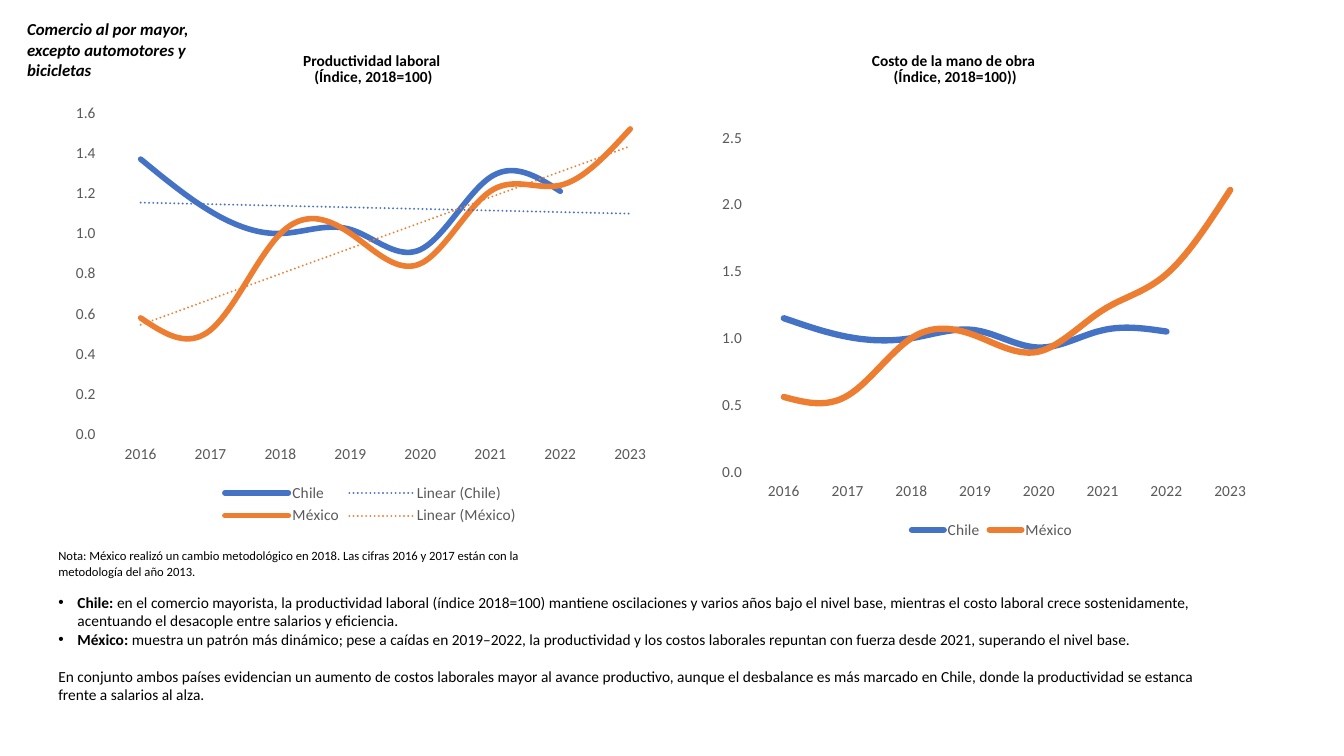
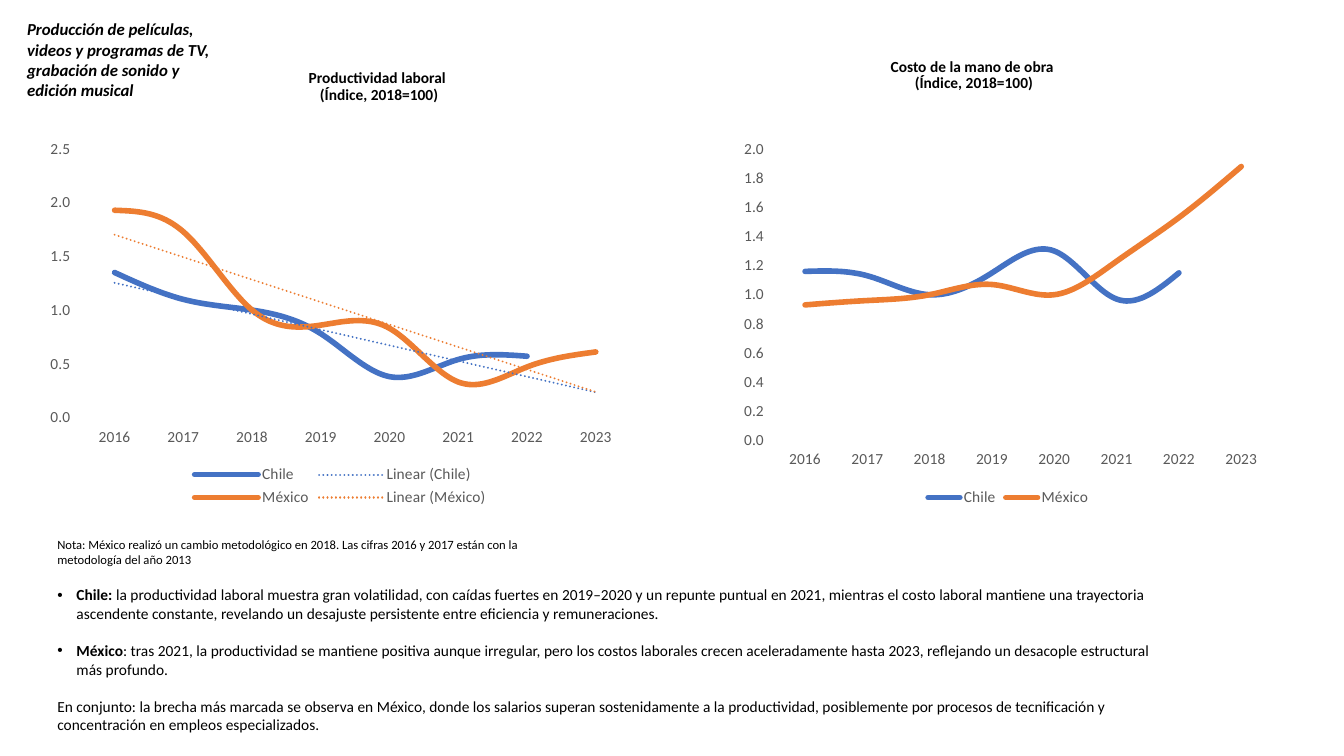
from pptx import Presentation
from pptx.chart.data import CategoryChartData
from pptx.dml.color import RGBColor
from pptx.enum.chart import XL_CHART_TYPE as ChartType
from pptx.enum.chart import XL_LEGEND_POSITION as LegendPos
from pptx.enum.chart import XL_MARKER_STYLE as Marker
from pptx.enum.chart import XL_TICK_LABEL_POSITION as LabelPos
from pptx.enum.chart import XL_TICK_MARK as TickMark
from pptx.enum.text import MSO_ANCHOR as Anchor
from pptx.enum.text import MSO_AUTO_SIZE as AutoSize
from pptx.enum.text import PP_ALIGN as Align
from pptx.oxml import parse_xml
from pptx.oxml.ns import nsdecls, qn
from pptx.util import Inches, Pt

# Shared style
FONT = "Calibri"
BLACK, GREY = "000000", "595959"
COUNTRIES = {"Chile": "4472C4", "México": "ED7D31"}
YEARS = [str(year) for year in range(2016, 2024)]
BLANK_LINE = 13.4
HEADING = {"size": Pt(12), "bold": True, "italic": True}
CHART_TITLE = {"size": Pt(11), "bold": True}
BODY = {"size": Pt(11)}
NOTE = {"size": Pt(9)}
AXIS = {
    "has_major_gridlines": False,
    "major_tick_mark": TickMark.NONE,
    "minor_tick_mark": TickMark.NONE,
    "tick_label_position": LabelPos.LOW,
}

NOTE_TEXT = ("Nota: México realizó un cambio metodológico en 2018. Las cifras 2016 y 2017 "
             "están con la metodología del año 2013")

# Content: boxes are left, top, width, height in inches
SECTORS = [
    {
        "heading": ("Comercio al por mayor, excepto automotores y bicicletas", 0.71),
        "titles": [
            ((1.74, 0.53, 3.93, 0.32), ["Productividad laboral ", "(Índice, 2018=100)"]),
            ((7.51, 0.53, 3.93, 0.32), ["Costo de la mano de obra ", "(Índice, 2018=100))"]),
        ],
        "charts": [
            {"box": (0.63, 0.94, 6.09, 4.31), "top": 1.6, "step": 0.2, "weight": 4,
             "trend": True,
             "values": [[1.37, 1.11, 1, 1.02, 0.92, 1.28, 1.21, None],
                        [0.58, 0.52, 1, 1, 0.85, 1.21, 1.24, 1.52]]},
            {"box": (7.05, 1.19, 5.58, 4.2), "top": 2.5, "step": 0.5, "weight": 4.5,
             "trend": False,
             "values": [[1.15, 1.01, 1, 1.06, 0.93, 1.06, 1.05, None],
                        [0.56, 0.57, 1, 1.02, 0.9, 1.21, 1.48, 2.11]]},
        ],
        "note": ((0.48, 5.39, 5.16, 0.4), NOTE_TEXT + "."),
        "findings_box": (0.48, 5.83, 11.83, 1.21),
        "bullet_gap": 0,
        "findings": [
            ("Chile: ", "en el comercio mayorista, la productividad laboral (índice 2018=100) "
             "mantiene oscilaciones y varios años bajo el nivel base, mientras el costo laboral "
             "crece sostenidamente, acentuando el desacople entre salarios y eficiencia."),
            ("México:", " muestra un patrón más dinámico; pese a caídas en 2019–2022, la "
             "productividad y los costos laborales repuntan con fuerza desde 2021, superando "
             "el nivel base."),
        ],
        "conclusion": "En conjunto ambos países evidencian un aumento de costos laborales mayor "
                      "al avance productivo, aunque el desbalance es más marcado en Chile, donde "
                      "la productividad se estanca frente a salarios al alza.",
    },
    {
        "heading": ("Producción de películas, videos y programas de TV, grabación de sonido "
                    "y edición musical", 0.91),
        "titles": [
            ((2.25, 0.7, 3.02, 0.32), ["Productividad laboral ", "(Índice, 2018=100)"]),
            ((8.17, 0.59, 2.98, 0.32), ["Costo de la mano de obra ", "(Índice, 2018=100)"]),
        ],
        "charts": [
            {"box": (0.38, 1.31, 5.99, 3.76), "top": 2.5, "step": 0.5, "weight": 4,
             "trend": True,
             "values": [[1.35, 1.1, 1, 0.78, 0.38, 0.54, 0.57, None],
                        [1.93, 1.73, 1, 0.86, 0.83, 0.33, 0.47, 0.61]]},
            {"box": (7.27, 1.31, 5.46, 3.76), "top": 2, "step": 0.2, "weight": 4,
             "trend": False,
             "values": [[1.16, 1.13, 1, 1.15, 1.3, 0.97, 1.15, None],
                        [0.93, 0.96, 1, 1.07, 1, 1.23, 1.53, 1.88]]},
        ],
        "note": ((0.47, 5.28, 5.16, 0.4), NOTE_TEXT),
        "findings_box": (0.47, 5.76, 11.07, 1.58),
        "bullet_gap": BLANK_LINE,
        "findings": [
            ("Chile:", " la productividad laboral muestra gran volatilidad, con caídas fuertes "
             "en 2019–2020 y un repunte puntual en 2021, mientras el costo laboral mantiene una "
             "trayectoria ascendente constante, revelando un desajuste persistente entre "
             "eficiencia y remuneraciones."),
            ("México", ": tras 2021, la productividad se mantiene positiva aunque irregular, "
             "pero los costos laborales crecen aceleradamente hasta 2023, reflejando un "
             "desacople estructural más profundo."),
        ],
        "conclusion": "En conjunto: la brecha más marcada se observa en México, donde los "
                      "salarios superan sostenidamente a la productividad, posiblemente por "
                      "procesos de tecnificación y concentración en empleos especializados.",
    },
]


def rgb(value):
    return RGBColor.from_string(value)


def apply(target, values):
    for name, value in values.items():
        setattr(target, name, value)


def style_font(font, color, values):
    apply(font, {"name": FONT, **values})
    font.color.rgb = rgb(color)


# Text
def add_frame(slide, box, **settings):
    frame = slide.shapes.add_textbox(*map(Inches, box)).text_frame
    apply(frame, {"word_wrap": True, **settings})
    return frame


def add_paragraph(frame, parts, style, **settings):
    """Add (text, bold) parts as one paragraph, reusing an empty first one."""
    first = frame.paragraphs[0]
    paragraph = frame.add_paragraph() if first.runs else first
    apply(paragraph, settings)
    for text, bold in parts:
        run = paragraph.add_run()
        run.text = text
        style_font(run.font, BLACK, {**style, "bold": bold})
    return paragraph


def add_label(slide, box, text, style):
    frame = add_frame(slide, box, auto_size=AutoSize.SHAPE_TO_FIT_TEXT)
    add_paragraph(frame, [(text, style.get("bold", False))], style)


def add_chart_title(slide, box, lines):
    frame = add_frame(slide, box, vertical_anchor=Anchor.MIDDLE)
    for line in lines:
        add_paragraph(frame, [(line, True)], CHART_TITLE,
                      alignment=Align.CENTER, line_spacing=0.9)


def add_bullet(paragraph):
    props = paragraph._p.get_or_add_pPr()
    indent = Inches(0.19)
    props.set("marL", str(indent))
    props.set("indent", str(-indent))
    for tag in ('a:buFont %s typeface="Arial"', 'a:buChar %s char="•"'):
        props.append(parse_xml(f"<{tag % nsdecls('a')}/>"))


def add_findings(slide, sector):
    frame = add_frame(slide, sector["findings_box"], auto_size=AutoSize.SHAPE_TO_FIT_TEXT)
    for index, (country, finding) in enumerate(sector["findings"]):
        gap = Pt(sector["bullet_gap"] if index else 0)
        add_bullet(add_paragraph(frame, [(country, True), (finding, False)], BODY,
                                 space_before=gap))
    add_paragraph(frame, [(sector["conclusion"], False)], BODY, space_before=Pt(BLANK_LINE))


# Charts
def add_trend(series, color):
    series._element.find(qn("c:cat")).addprevious(parse_xml(
        f'<c:trendline {nsdecls("c", "a")}><c:spPr><a:ln w="{Pt(1.5)}" cap="rnd">'
        f'<a:solidFill><a:srgbClr val="{color}"/></a:solidFill><a:prstDash val="sysDot"/>'
        '</a:ln></c:spPr><c:trendlineType val="linear"/><c:dispRSqr val="0"/>'
        '<c:dispEq val="0"/></c:trendline>'))


def style_axis(axis):
    apply(axis, AXIS)
    axis.format.line.fill.background()
    style_font(axis.tick_labels.font, GREY, BODY)


def add_index_chart(slide, box, values, top, step, weight, trend):
    data = CategoryChartData(number_format="0.00")
    data.categories = YEARS
    for country, indices in zip(COUNTRIES, values):
        data.add_series(country, indices)
    chart = slide.shapes.add_chart(ChartType.LINE, *map(Inches, box), data).chart
    apply(chart, {"has_title": False, "has_legend": True})
    style_font(chart.font, BLACK, BODY)

    apply(chart.legend, {"position": LegendPos.BOTTOM, "include_in_layout": False})
    style_font(chart.legend.font, GREY, BODY)

    style_axis(chart.category_axis)
    style_axis(chart.value_axis)
    apply(chart.value_axis, {"minimum_scale": 0, "maximum_scale": top, "major_unit": step})
    apply(chart.value_axis.tick_labels,
          {"number_format": "#,##0.0", "number_format_is_linked": False})

    plot = chart.plots[0]
    plot.vary_by_categories = False
    for series, color in zip(plot.series, COUNTRIES.values()):
        series.smooth = True
        series.marker.style = Marker.NONE
        line = series.format.line
        line.width = Pt(weight)
        line.color.rgb = rgb(color)
        series._element.find(qn("c:spPr")).find(qn("a:ln")).set("cap", "rnd")
        if trend:
            add_trend(series, color)


def add_sector_slide(prs, sector):
    slide = prs.slides.add_slide(prs.slide_layouts[6])
    for box, lines in sector["titles"]:
        add_chart_title(slide, box, lines)
    add_findings(slide, sector)
    heading, height = sector["heading"]
    add_label(slide, (0.17, 0.14, 2.21, height), heading, HEADING)
    add_label(slide, *sector["note"], NOTE)
    for chart in sector["charts"]:
        add_index_chart(slide, **chart)


def main():
    prs = Presentation()
    apply(prs, {"slide_width": Inches(13.33), "slide_height": Inches(7.5)})
    for sector in SECTORS:
        add_sector_slide(prs, sector)
    prs.save("out.pptx")


if __name__ == "__main__":
    main()
